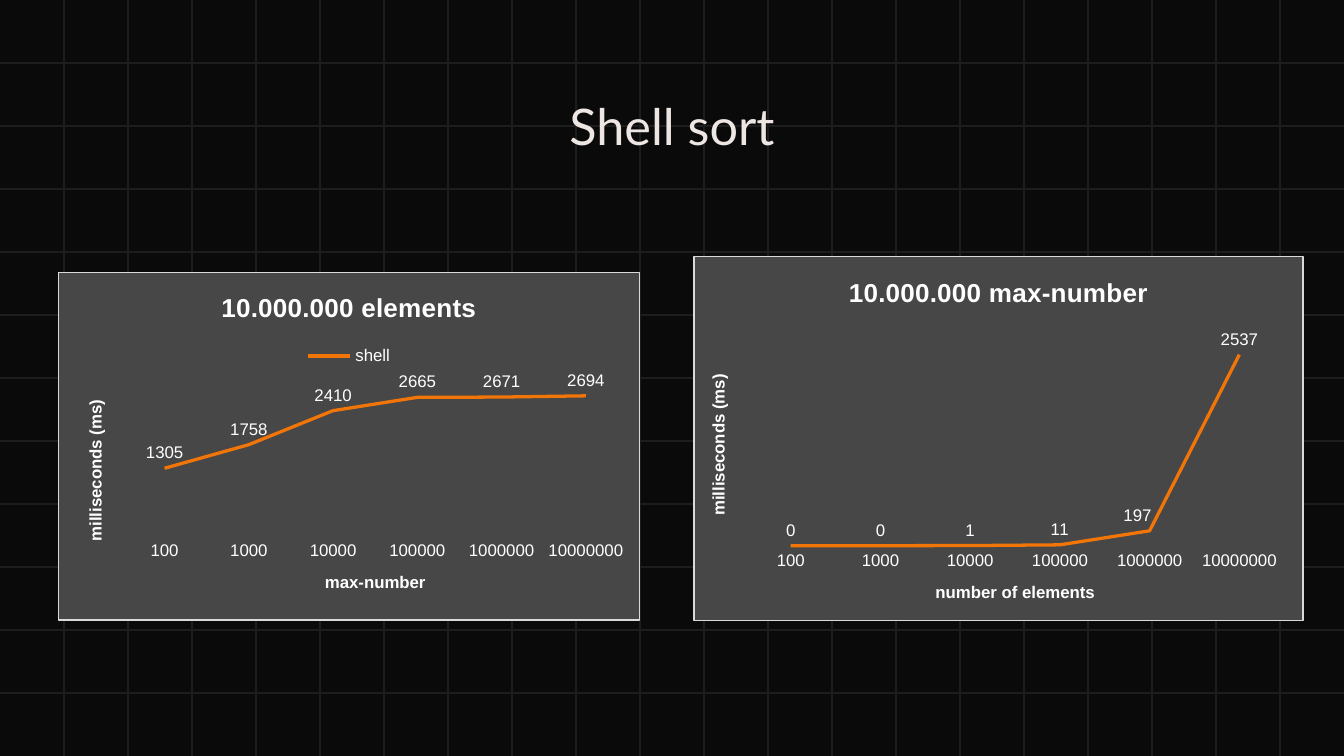
"""Build the Shell sort slide with two timing charts on a dark grid."""
from lxml import etree
from pptx import Presentation
from pptx.chart.data import CategoryChartData
from pptx.dml.color import RGBColor
from pptx.enum.chart import XL_CHART_TYPE, XL_LABEL_POSITION, XL_LEGEND_POSITION, XL_MARKER_STYLE, XL_TICK_MARK
from pptx.enum.shapes import MSO_CONNECTOR
from pptx.enum.text import MSO_ANCHOR, PP_ALIGN
from pptx.oxml import parse_xml
from pptx.oxml.ns import nsdecls, qn
from pptx.util import Pt

LINE = XL_CHART_TYPE.LINE
ABOVE = XL_LABEL_POSITION.ABOVE
TOP = XL_LEGEND_POSITION.TOP
NO_MARKER = XL_MARKER_STYLE.NONE
NO_TICK = XL_TICK_MARK.NONE
STRAIGHT = MSO_CONNECTOR.STRAIGHT

COLORS = {"bg": "0A0A0A", "grid": "1D1D1D", "title": "EEE6E2", "text": "FFFFFF",
          "panel": "474747", "border": "DADADA", "series": "F27507"}
W, H = 720, 405
COLS, ROWS = 21, 12
CATEGORIES = ["100", "1000", "10000", "100000", "1000000", "10000000"]
CHARTS = [
    {"at": (31, 145.5, 312, 187), "title": "10.000.000 elements", "x_title": "max-number",
     "name": "shell", "values": [1305, 1758, 2410, 2665, 2671, 2694],
     "plot": (0.11, 0.31, 0.87, 0.45), "legend": True, "nudged": None},
    {"at": (371.5, 137, 327, 196), "title": "10.000.000 max-number", "x_title": "number of elements",
     "name": "Series 1", "values": [0, 0, 1, 11, 197, 2537],
     "plot": (0.085, 0.174, 0.884, 0.62), "legend": False, "nudged": 4},
]


def style(font, size, color="text", name="Arial", bold=False):
    font.size = Pt(size)
    font.name = name
    font.bold = bold
    font.color.rgb = RGBColor.from_string(COLORS[color])


def add_title(owner, text, size):
    owner.has_title = True
    tf = owner.chart_title.text_frame if hasattr(owner, "chart_title") else owner.axis_title.text_frame
    r = tf.paragraphs[0].add_run()
    r.text = text
    style(r.font, size, bold=True)


prs = Presentation()
prs.slide_width, prs.slide_height = Pt(W), Pt(H)
s = prs.slides.add_slide(prs.slide_layouts[6])
s.background.fill.solid()
s.background.fill.fore_color.rgb = RGBColor.from_string(COLORS["bg"])

rows = [(0, H / ROWS * i, W, H / ROWS * i) for i in range(1, ROWS)]
columns = [(W / COLS * i, 0, W / COLS * i, H) for i in range(1, COLS)]
for ends in rows + columns:
    sp = s.shapes.add_connector(STRAIGHT, *[Pt(v) for v in ends])
    sp.line.width = Pt(0.75)
    sp.line.color.rgb = RGBColor.from_string(COLORS["grid"])
    etree.SubElement(sp.element.spPr, qn("a:effectLst"))

sp = s.shapes.add_textbox(Pt(138.5), Pt(44), Pt(443), Pt(78.5))
tf = sp.text_frame
tf.word_wrap = True
tf.vertical_anchor = MSO_ANCHOR.TOP
tf.margin_left = tf.margin_right = tf.margin_top = tf.margin_bottom = Pt(7.2)
p = tf.paragraphs[0]
p.alignment = PP_ALIGN.CENTER
r = p.add_run()
r.text = "Shell sort"
style(r.font, 27, "title", "Lato")

for spec_chart in CHARTS:
    data = CategoryChartData()
    data.categories = CATEGORIES
    data.add_series(spec_chart["name"], spec_chart["values"])
    chart = s.shapes.add_chart(LINE, *[Pt(v) for v in spec_chart["at"]], data).chart
    style(chart.font, 10)
    add_title(chart, spec_chart["title"], 14)
    chart.chart_title.include_in_layout = False
    chart.has_legend = spec_chart["legend"]
    if chart.has_legend:
        chart.legend.position = TOP
        chart.legend.include_in_layout = False
        style(chart.legend.font, 9)

    x_axis, y_axis = chart.category_axis, chart.value_axis
    add_title(x_axis, spec_chart["x_title"], 9)
    add_title(y_axis, "milliseconds (ms)", 9)
    x_axis.major_tick_mark = x_axis.minor_tick_mark = NO_TICK
    x_axis.format.line.fill.background()
    style(x_axis.tick_labels.font, 9)
    y_axis.has_major_gridlines = False
    y_axis.minimum_scale, y_axis.maximum_scale = 0, 3000
    y_axis.visible = False

    plot = chart.plots[0]
    plot.vary_by_categories = False
    series = plot.series[0]
    series.smooth = False
    series.marker.style = NO_MARKER
    series.format.line.width = Pt(1.75)
    series.format.line.color.rgb = RGBColor.from_string(COLORS["series"])
    labels = series.data_labels
    labels.show_value = True
    labels.position = ABOVE
    style(labels.font, 9)
    if spec_chart["nudged"] is not None:
        label = series.points[spec_chart["nudged"]].data_label
        style(label.font, 9)
        label.position = ABOVE
        idx = chart.element.find(".//" + qn("c:dLbl")).find(qn("c:idx"))
        idx.addnext(parse_xml(f'<c:layout {nsdecls("c")}><c:manualLayout>'
                              '<c:x val="-0.02"/><c:y val="0"/></c:manualLayout></c:layout>'))

    area = chart.element.find(".//" + qn("c:plotArea"))
    for old in area.findall(qn("c:layout")):
        area.remove(old)
    x, y, w, h = spec_chart["plot"]
    area.insert(0, parse_xml(
        f'<c:layout {nsdecls("c")}><c:manualLayout><c:layoutTarget val="inner"/>'
        '<c:xMode val="edge"/><c:yMode val="edge"/>'
        f'<c:x val="{x}"/><c:y val="{y}"/><c:w val="{w}"/><c:h val="{h}"/>'
        '</c:manualLayout></c:layout>'))
    chart.element.find(qn("c:chart")).addnext(parse_xml(
        f'<c:spPr {nsdecls("c", "a")}><a:solidFill><a:srgbClr val="{COLORS["panel"]}"/></a:solidFill>'
        f'<a:ln w="{Pt(0.75)}"><a:solidFill><a:srgbClr val="{COLORS["border"]}"/></a:solidFill></a:ln></c:spPr>'))

prs.save("out.pptx")
